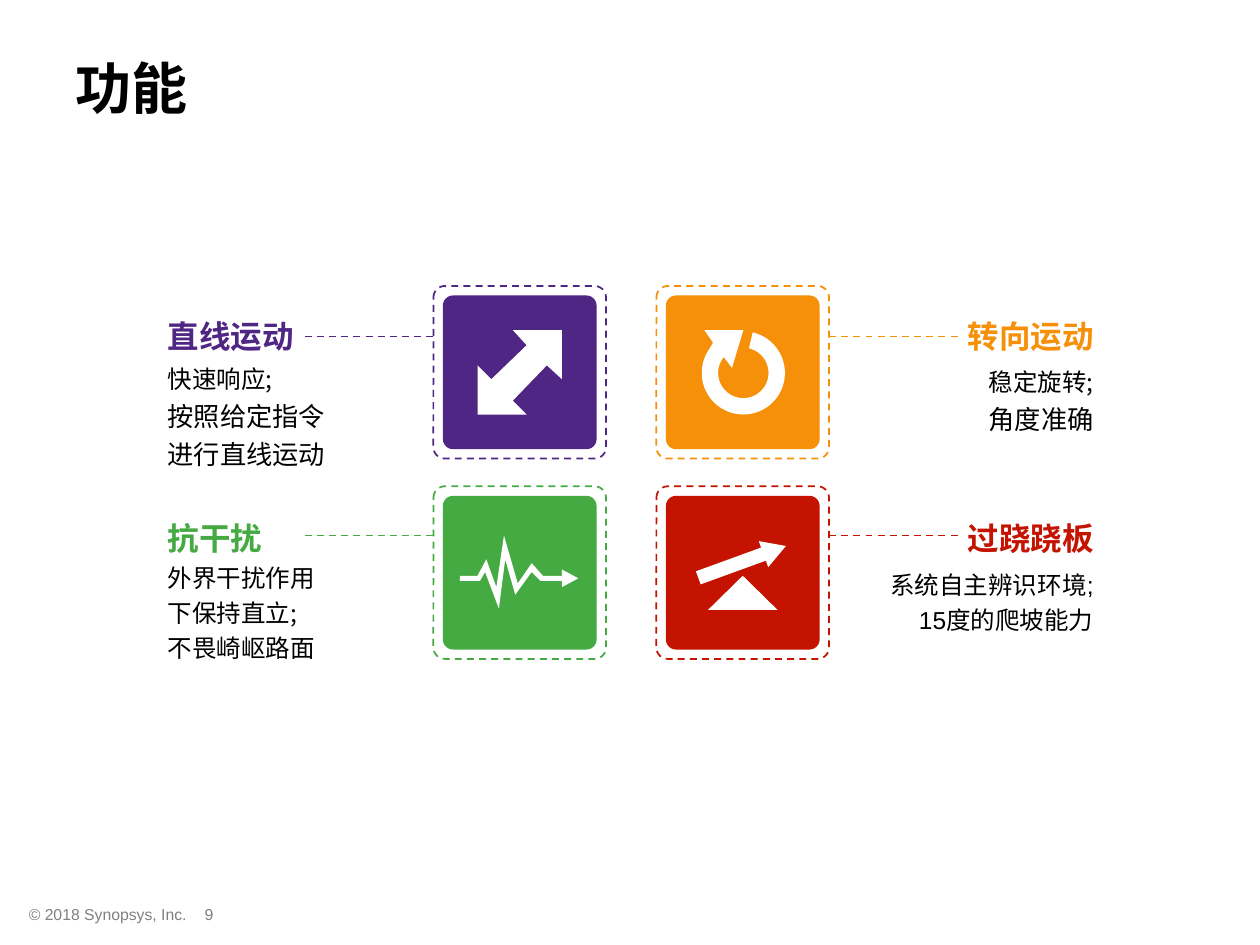
from math import cos, radians, sin

from lxml import etree
from pptx import Presentation
from pptx.dml.color import RGBColor
from pptx.enum.dml import MSO_LINE
from pptx.enum.shapes import MSO_CONNECTOR, MSO_SHAPE
from pptx.enum.text import MSO_ANCHOR, PP_ALIGN
from pptx.oxml.ns import qn
from pptx.util import Inches, Pt

ROUNDED, TRIANGLE, ARROW = (
    MSO_SHAPE.ROUNDED_RECTANGLE, MSO_SHAPE.ISOSCELES_TRIANGLE, MSO_SHAPE.RIGHT_ARROW)
LEFT, CENTER, RIGHT = PP_ALIGN.LEFT, PP_ALIGN.CENTER, PP_ALIGN.RIGHT
TOP, MIDDLE = MSO_ANCHOR.TOP, MSO_ANCHOR.MIDDLE
DASH = MSO_LINE.DASH
STRAIGHT = MSO_CONNECTOR.STRAIGHT

COLORS = {
    "purple": "4F2683", "orange": "F69008", "green": "46AA42", "red": "C41300",
    "white": "FFFFFF", "black": "000000", "gray": "808080",
}
rgb = {name: RGBColor.from_string(value) for name, value in COLORS.items()}

prs = Presentation()
prs.slide_width, prs.slide_height = Inches(10), Inches(7.5)
slide = prs.slides.add_slide(prs.slide_layouts[5])
shapes = slide.shapes


def write(box, lines, sizes, color="black", font="Arial", bold=False,
          align=LEFT, anchor=TOP, spacing=1.0, inset=0.0):
    """Fill a box with one paragraph per line, each in its own size."""
    frame = box.text_frame
    frame.word_wrap = True
    frame.vertical_anchor = anchor
    frame.margin_left = frame.margin_right = Inches(inset)
    frame.margin_top = frame.margin_bottom = Inches(inset / 2)
    for i, (line, size) in enumerate(zip(lines, sizes)):
        paragraph = frame.paragraphs[0] if i == 0 else frame.add_paragraph()
        paragraph.alignment = align
        paragraph.line_spacing = spacing
        run = paragraph.add_run()
        run.text = line
        run.font.name, run.font.size = font, Pt(size)
        run.font.bold = bold
        run.font.color.rgb = rgb[color]


def style(shape, fill=None, outline=None):
    shape.shadow.inherit = False
    if fill:
        shape.fill.solid()
        shape.fill.fore_color.rgb = rgb[fill]
    else:
        shape.fill.background()
    if outline:
        shape.line.color.rgb = rgb[outline]
        shape.line.width = Pt(1)
        shape.line.dash_style = DASH
    else:
        shape.line.fill.background()


title = shapes.title
title.left, title.top, title.width, title.height = (
    Inches(v) for v in (0.5, 0.07, 9.5, 1.25))
write(title, ["功能"], [32], bold=True, anchor=MIDDLE, inset=0.1)

# Four features: colour, column, row, heading, description, sizes, font, text height
FEATURES = [
    ("purple", 0, 0, "直线运动", ["快速响应;", "按照给定指令", "进行直线运动"],
     [14, 15, 15], "Noto Sans CJK SC", 0.93),
    ("orange", 1, 0, "转向运动", ["稳定旋转;", "角度准确"],
     [14, 15], "Noto Sans CJK SC", 0.68),
    ("green", 0, 1, "抗干扰", ["外界干扰作用", "下保持直立;", "不畏崎岖路面"],
     [14, 14, 14], "Noto Sans CJK SC", 0.84),
    ("red", 1, 1, "过跷跷板", ["系统自主辨识环境;", "15度的爬坡能力"],
     [14, 14], "Arial", 0.67),
]
FRAME, TILE = 1.37, 1.22
CORNER = 0.066
FRAME_LEFT, FRAME_TOP = (3.44, 5.21), (2.27, 3.86)
TEXT_LEFT, TEXT_WIDTH = (1.33, 6.68), 2.0
HEADING_TOP = (2.52, 4.12)
LEADER = ((2.42, 3.44), (6.58, 7.61))
LEADER_Y = (2.67, 4.25)

for color, col, row, heading, lines, sizes, font, height in FEATURES:
    for side, look in ((FRAME, {"outline": color}), (TILE, {"fill": color})):
        gap = (FRAME - side) / 2
        card = shapes.add_shape(ROUNDED, Inches(FRAME_LEFT[col] + gap),
                                Inches(FRAME_TOP[row] + gap), Inches(side), Inches(side))
        card.adjustments[0] = CORNER
        style(card, **look)

    align = (LEFT, RIGHT)[col]
    left, top = Inches(TEXT_LEFT[col]), HEADING_TOP[row]
    heading_box = shapes.add_textbox(left, Inches(top), Inches(TEXT_WIDTH), Inches(0.23))
    write(heading_box, [heading], [18], color=color, bold=True, align=align)
    description = shapes.add_textbox(left, Inches(top + 0.3), Inches(TEXT_WIDTH), Inches(height))
    write(description, lines, sizes, font=font, align=align, anchor=MIDDLE, spacing=1.2)

    start, end = LEADER[col]
    y = Inches(LEADER_Y[row])
    leader = shapes.add_connector(STRAIGHT, Inches(start), y, Inches(end), y)
    leader.line.color.rgb = rgb[color]
    leader.line.width = Pt(1)
    leader.line.dash_style = DASH
    etree.SubElement(leader._element.spPr, qn("a:effectLst"))

# White icons drawn as outlines
double_arrow = [(3.9, 3.01), (3.79, 2.9), (3.79, 3.29), (4.18, 3.29), (4.07, 3.18),
                (4.34, 2.9), (4.46, 3.01), (4.46, 2.62), (4.07, 2.62), (4.18, 2.74)]
pulse = [(4.59, 4.59), (4.46, 4.52), (4.46, 4.57), (4.31, 4.57), (4.22, 4.47), (4.11, 4.63),
         (4, 4.25), (3.94, 4.66), (3.86, 4.44), (3.79, 4.57), (3.65, 4.57), (3.65, 4.61),
         (3.81, 4.61), (3.85, 4.54), (3.96, 4.83), (4.01, 4.44), (4.09, 4.72), (4.22, 4.54),
         (4.29, 4.61), (4.46, 4.61), (4.46, 4.66)]
turn_arrow = [(5.9 + radius * cos(radians(angle)), 2.96 + radius * sin(radians(angle)))
              for radius, angles in ((0.33, range(215, -78, -4)), (0.2, range(-77, 223, 4)))
              for angle in angles]
turn_arrow += [(5.81, 2.92), (5.9, 2.62), (5.59, 2.62), (5.66, 2.72)]

for outline in (double_arrow, pulse, turn_arrow):
    points = [(Inches(x), Inches(y)) for x, y in outline]
    builder = shapes.build_freeform(*points[0])
    builder.add_line_segments(points[1:], close=True)
    style(builder.convert_to_shape(), fill="white")

# Seesaw icon
pivot = shapes.add_shape(TRIANGLE, Inches(5.62), Inches(4.57), Inches(0.55), Inches(0.27))
style(pivot, fill="white")
plank = shapes.add_shape(ARROW, Inches(5.52), Inches(4.35), Inches(0.74), Inches(0.22))
plank.adjustments[0], plank.adjustments[1] = 0.5, 0.86
plank.rotation = -20
style(plank, fill="white")

for text, left, width, align in (("© 2018 Synopsys, Inc.", 0.13, 3.08, LEFT),
                                 ("9", 1.31, 0.7, CENTER)):
    footer = shapes.add_textbox(Inches(left), Inches(7.13), Inches(width), Inches(0.25))
    write(footer, [text], [9], color="gray", align=align, inset=0.1)

prs.save("out.pptx")
